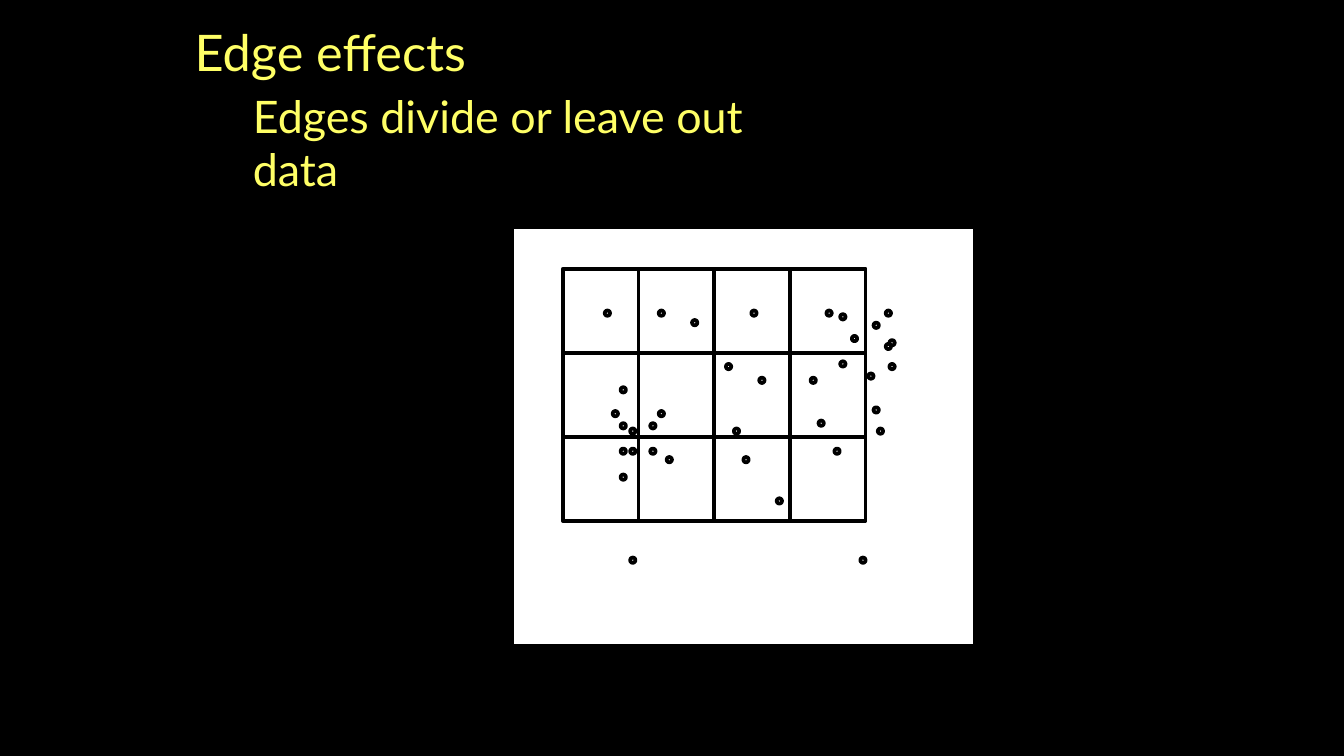
from pptx import Presentation
from pptx.dml.color import RGBColor
from pptx.enum.shapes import MSO_SHAPE
from pptx.util import Cm, Pt

BLACK = RGBColor(0x00, 0x00, 0x00)
WHITE = RGBColor(0xFF, 0xFF, 0xFF)
YELLOW = RGBColor(0xFF, 0xFF, 0x66)

presentation = Presentation()
presentation.slide_width = Cm(25.4)
presentation.slide_height = Cm(14.29)
slide = presentation.slides.add_slide(presentation.slide_layouts[6])
slide.background.fill.solid()
slide.background.fill.fore_color.rgb = BLACK


def add_outline(kind, left, top, width, height, fill_color=None):
    shape = slide.shapes.add_shape(kind, Cm(left), Cm(top), Cm(width), Cm(height))
    shape.shadow.inherit = False
    if fill_color is None:
        shape.fill.background()
    else:
        shape.fill.solid()
        shape.fill.fore_color.rgb = fill_color
    shape.line.color.rgb = BLACK
    shape.line.width = Pt(2)


headings = [
    ("Edge effects", 27, 3.5, 0.3, 12.24, 1.35),
    ("Edges divide or leave out data", 24, 4.6, 1.57, 10.77, 1.22),
]
for text, size, left, top, width, height in headings:
    text_box = slide.shapes.add_textbox(Cm(left), Cm(top), Cm(width), Cm(height))
    text_frame = text_box.text_frame
    text_frame.word_wrap = True
    text_frame.margin_left = text_frame.margin_right = Cm(0.18)
    text_frame.margin_top = text_frame.margin_bottom = Cm(0.1)
    paragraph = text_frame.paragraphs[0]
    paragraph.text = text
    paragraph.font.name = "Lato"
    paragraph.font.size = Pt(size)
    paragraph.font.color.rgb = YELLOW

add_outline(MSO_SHAPE.RECTANGLE, 9.68, 4.29, 8.74, 7.92, WHITE)

GRID_LEFT, GRID_TOP = 10.64, 5.08
CELL_WIDTH, CELL_HEIGHT = 1.43, 1.59
for row in range(3):
    for column in range(4):
        add_outline(
            MSO_SHAPE.RECTANGLE,
            GRID_LEFT + column * CELL_WIDTH,
            GRID_TOP + row * CELL_HEIGHT,
            CELL_WIDTH,
            CELL_HEIGHT,
        )

DOT_SIZE = 0.1
data_points = [
    (11.58, 7.77), (12.45, 7.77), (11.73, 8.97), (12.6, 8.64), (12.29, 8),
    (11.73, 8.48), (11.73, 8), (12.29, 8.48), (13.87, 8.1), (11.91, 8.48),
    (15.77, 8.48), (11.43, 5.87), (14.05, 8.64), (15.47, 7.95), (13.08, 6.05),
    (14.35, 7.14), (11.73, 7.32), (14.2, 5.87), (15.32, 7.14), (15.62, 5.87),
    (12.45, 5.87), (14.68, 9.42), (16.59, 8.1), (11.91, 10.54), (16.74, 6.5),
    (16.26, 10.54), (16.1, 6.35), (16.74, 5.87), (16.51, 6.1), (11.91, 8.1),
    (16.41, 7.06), (15.88, 5.94), (16.51, 7.7), (16.81, 6.88), (15.88, 6.83),
    (13.72, 6.88), (16.81, 6.43),
]
for left, top in data_points:
    add_outline(MSO_SHAPE.OVAL, left, top, DOT_SIZE, DOT_SIZE)

presentation.save("out.pptx")
